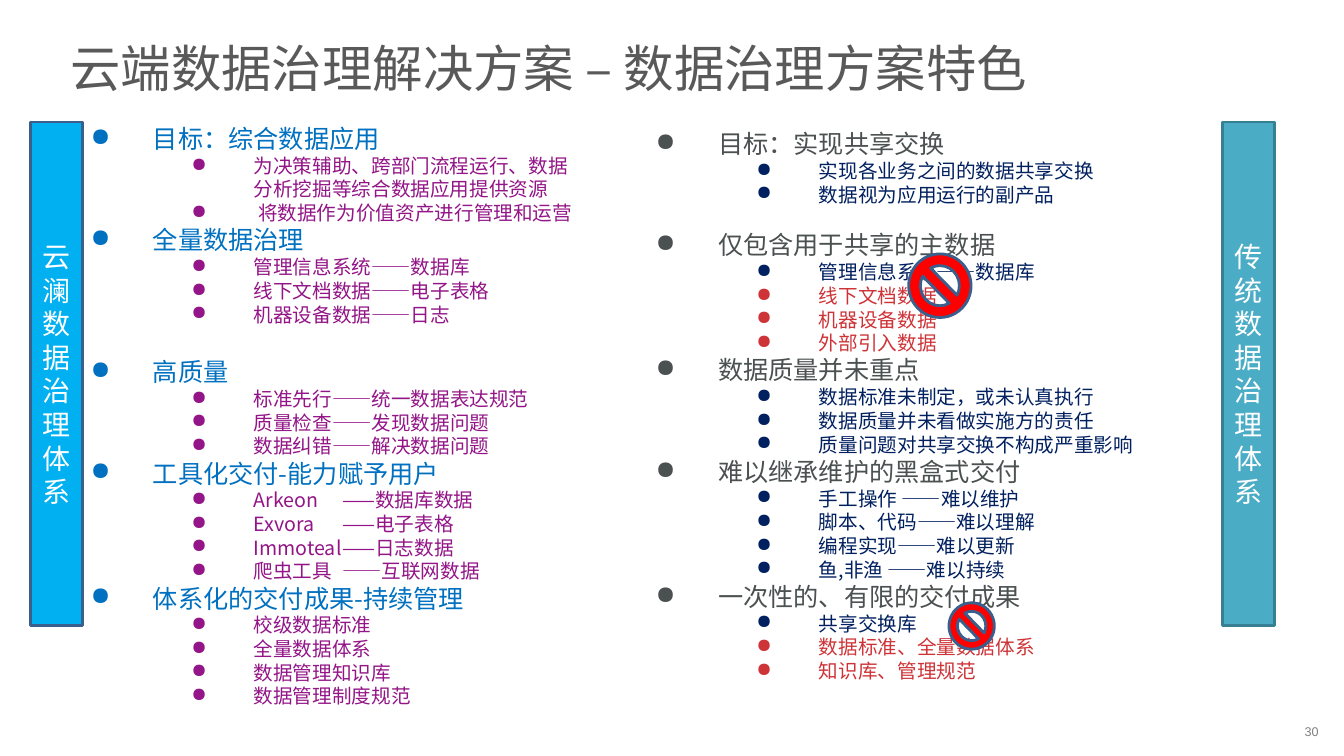
import pptx
import pptx.util
import pptx.dml.color
import pptx.enum.shapes
import pptx.enum.text
import pptx.oxml.ns
import lxml.etree

Pt = pptx.util.Pt
Shape = pptx.enum.shapes.MSO_SHAPE
Anchor = pptx.enum.text.MSO_ANCHOR
Align = pptx.enum.text.PP_ALIGN
qn = pptx.oxml.ns.qn

CJK = "Noto Sans CJK SC"
RED = "CE3337"
NAVY = "002060"
LINE_RATIO = 1.205

OUR_FEATURES = [
    ("目标：综合数据应用", 0, [
        "为决策辅助、跨部门流程运行、数据分析挖掘等综合数据应用提供资源",
        " 将数据作为价值资产进行管理和运营"]),
    ("全量数据治理", 0, [
        "管理信息系统——数据库", "线下文档数据——电子表格", "机器设备数据——日志"]),
    ("高质量", 21.7, [
        "标准先行——统一数据表达规范", "质量检查——发现数据问题", "数据纠错——解决数据问题"]),
    ("工具化交付-能力赋予用户", 0, [
        "Arkeon\t——数据库数据", "Exvora\t——电子表格",
        "Immoteal\t——日志数据", "爬虫工具\t——互联网数据"]),
    ("体系化的交付成果-持续管理", 0, [
        "校级数据标准", "全量数据体系", "数据管理知识库", "数据管理制度规范"]),
]
TRADITIONAL_FEATURES = [
    ("目标：实现共享交换", 0, ["实现各业务之间的数据共享交换", "数据视为应用运行的副产品"]),
    ("仅包含用于共享的主数据", 16.9, [
        "管理信息系统——数据库", "线下文档数据", "机器设备数据", "外部引入数据"]),
    ("数据质量并未重点", 0, [
        "数据标准未制定，或未认真执行", "数据质量并未看做实施方的责任",
        "质量问题对共享交换不构成严重影响"]),
    ("难以继承维护的黑盒式交付", 0, [
        "手工操作 ——难以维护", "脚本、代码——难以理解",
        "编程实现——难以更新", "鱼,非渔 ——难以持续"]),
    ("一次性的、有限的交付成果", 0, ["共享交换库", "数据标准、全量数据体系", "知识库、管理规范"]),
]
MISSING = {"线下文档数据", "机器设备数据", "外部引入数据", "数据标准、全量数据体系", "知识库、管理规范"}


def color(value):
    return pptx.dml.color.RGBColor.from_string(value)


class Painter:
    def __init__(self, page):
        self.page = page

    def add_span(self, para, text, size, ink, font="Arial"):
        span = para.add_run()
        span.text = text
        span.font.size = Pt(size)
        span.font.name = font
        span.font.color.rgb = color(ink)
        east = lxml.etree.SubElement(span.font._element, qn("a:ea"))
        east.set("typeface", CJK)

    def frame(self, box, insets, anchor):
        frame = box.text_frame
        frame.word_wrap = True
        frame.vertical_anchor = anchor
        frame.margin_left = frame.margin_right = Pt(insets[0])
        frame.margin_top = frame.margin_bottom = Pt(insets[1])
        return frame

    def label(self, place, text, size, ink, insets, anchor):
        box = self.page.shapes.add_textbox(*map(Pt, place))
        frame = self.frame(box, insets, anchor)
        self.add_span(frame.paragraphs[0], text, size, ink)

    def shape(self, kind, place, fill=None, line=None):
        shape = self.page.shapes.add_shape(kind, *map(Pt, place))
        shape.shadow.inherit = False
        if fill:
            shape.fill.solid()
            shape.fill.fore_color.rgb = color(fill)
            shape.line.color.rgb = color(line)
            shape.line.width = Pt(2)
        else:
            shape.fill.background()
            shape.line.fill.background()
        return shape

    def banner(self, place, text, fill, line):
        box = self.shape(Shape.RECTANGLE, place, fill, line)
        para = self.frame(box, (7.2, 3.6), Anchor.MIDDLE).paragraphs[0]
        para.alignment = Align.CENTER
        para.line_spacing = Pt(24)
        self.add_span(para, text, 20, "FFFFFF")

    def bullet(self, para, text, level, size, ink, gap):
        para.level = level
        para.alignment = Align.LEFT
        para.line_spacing = Pt(round(size * LINE_RATIO, 1))
        if gap:
            para.space_before = Pt(gap)
        props = para._p.get_or_add_pPr()
        props.set("marL", str(Pt(44.64 + 72 * level)))
        props.set("indent", str(Pt(-44.64)))
        mark = lxml.etree.SubElement(props, qn("a:buChar"))
        mark.set("char", "●")
        self.add_span(para, text, size, ink, CJK)

    def features(self, place, groups, heading_ink, item_ink):
        box = self.shape(Shape.FLOWCHART_DOCUMENT, place)
        frame = self.frame(box, (7.2, 3.6), Anchor.TOP)
        para = frame.paragraphs[0]
        for index, (heading, gap, items) in enumerate(groups):
            if index:
                para = frame.add_paragraph()
            self.bullet(para, heading, 0, 18, heading_ink, gap)
            for item in items:
                ink = RED if item in MISSING else item_ink
                self.bullet(frame.add_paragraph(), item, 1, 14, ink, 0)


def main():
    deck = pptx.Presentation()
    deck.slide_width = Pt(960.48)
    deck.slide_height = Pt(540)
    painter = Painter(deck.slides.add_slide(deck.slide_layouts[6]))

    painter.label((932.4, 517, 26, 14), "30", 9, "808080", (0, 0), Anchor.TOP)
    painter.label((41, 13, 878.4, 69.8), "云端数据治理解决方案 – 数据治理方案特色",
                  36, "595959", (9.4, 5), Anchor.MIDDLE)
    painter.features((57.6, 84.5, 368.6, 475.2), OUR_FEATURES, "0070C0", "931587")
    painter.features((461.5, 88.1, 368.6, 475.2), TRADITIONAL_FEATURES, "4B5050", NAVY)
    painter.shape(Shape.NO_SYMBOL, (649.4, 181.4, 44.6, 45.4), "FF0000", "3A5F8C")
    painter.banner((21.6, 87.1, 37.4, 360), "云澜数据治理体系", "00B0F0", "3A5F8C")
    painter.banner((873.4, 87.1, 37.4, 360), "传统数据治理体系", "4BACC6", "377F92")
    painter.shape(Shape.NO_SYMBOL, (678.2, 430.6, 32.4, 33.1), "FF0000", "3A5F8C")
    deck.save("out.pptx")


if __name__ == "__main__":
    main()
